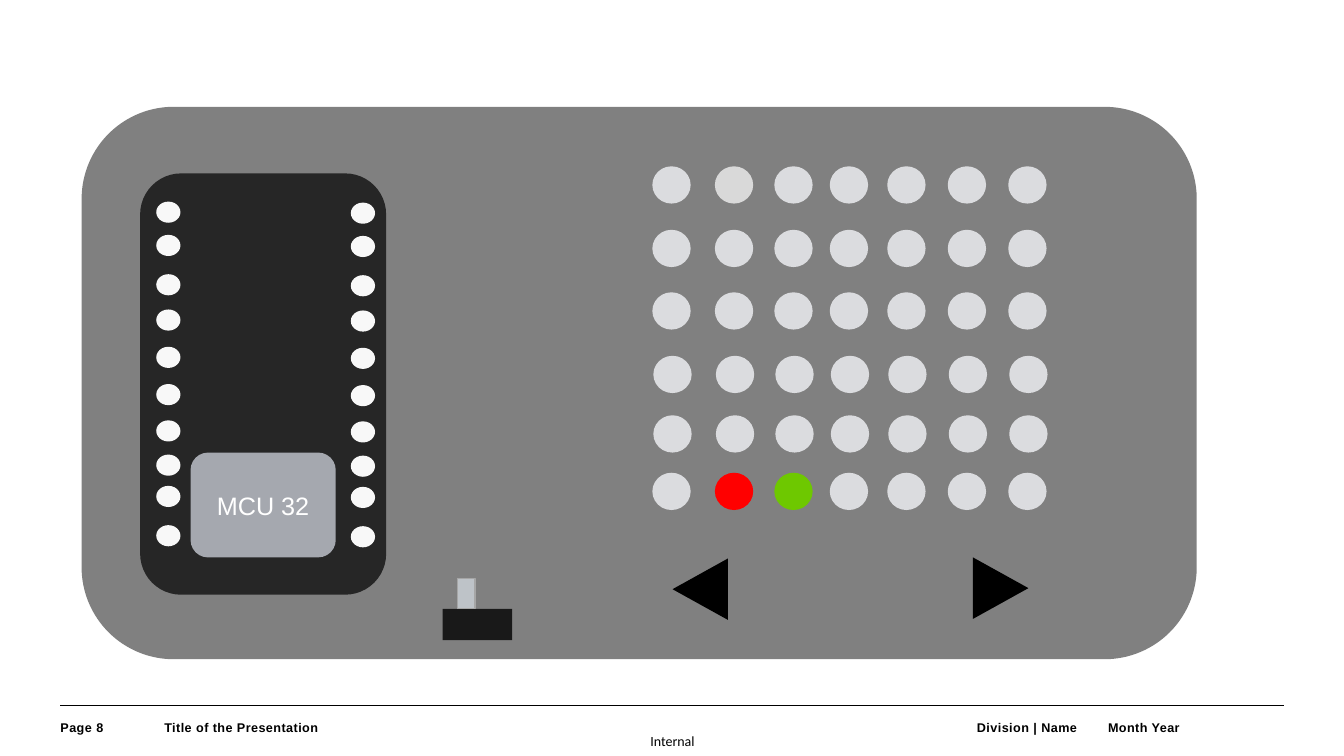
from dataclasses import dataclass
from typing import Optional

from lxml import etree
from pptx import Presentation
from pptx import util as u
from pptx.dml.color import RGBColor
from pptx.enum import shapes, text
from pptx.oxml import ns


@dataclass(frozen=True)
class Theme:
    board: str = "808080"
    module: str = "262626"
    chip: str = "A5A8AF"
    led: str = "DBDCDF"
    led_gray: str = "D9D9D9"
    led_red: str = "FF0000"
    led_green: str = "6EC800"
    pin: str = "F8F8F8"
    switch: str = "191919"
    lever: str = "BEC3C8"
    lever_edge: str = "A6A6A6"
    black: str = "000000"
    white: str = "FFFFFF"
    font: str = "Arial"
    label_font: str = "Calibri"
    chip_size: int = 18
    label_size: int = 10
    footer_size: int = 9


@dataclass(frozen=True)
class Part:
    kind: shapes.MSO_SHAPE
    left: float
    top: float
    width: float
    height: float
    fill: str
    line: Optional[str] = None
    rotation: int = 0


@dataclass(frozen=True)
class Footer:
    content: str
    left: float
    width: float
    tabs: tuple[float, ...] = ()


THEME = Theme()
KIND = shapes.MSO_SHAPE

BOARD = Part(KIND.ROUNDED_RECTANGLE, 0.81, 1.06, 11.06, 5.48, THEME.board)
MODULE = Part(KIND.ROUNDED_RECTANGLE, 1.39, 1.72, 2.44, 4.18, THEME.module)
CHIP = Part(KIND.ROUNDED_RECTANGLE, 1.89, 4.49, 1.44, 1.04, THEME.chip)
CONTROLS = (
    Part(KIND.ISOSCELES_TRIANGLE, 6.64, 5.57, 0.61, 0.55, THEME.black, rotation=270),
    Part(KIND.ISOSCELES_TRIANGLE, 9.62, 5.56, 0.61, 0.55, THEME.black, rotation=90),
    Part(KIND.RECTANGLE, 4.39, 6.04, 0.69, 0.31, THEME.switch),
    Part(KIND.RECTANGLE, 4.54, 5.74, 0.17, 0.3, THEME.lever, line=THEME.lever_edge),
)

LED_COLUMNS = (6.47, 7.09, 7.68, 8.23, 8.8, 9.4, 10)
LED_ROWS = ((1.65, 0), (2.28, 0), (2.9, 0), (3.53, 0.01), (4.12, 0.01), (4.69, 0))
SPECIAL_LEDS = {
    (0, 1): THEME.led_gray,
    (5, 1): THEME.led_red,
    (5, 2): THEME.led_green,
}
PIN_COLUMNS = ((1.55, 0), (3.48, 0.01))
PIN_ROWS = (2, 2.33, 2.72, 3.07, 3.44, 3.81, 4.17, 4.51, 4.82, 5.21)

FOOTERS = (
    Footer("\tDivision | Name\tMonth Year", 8.48, 3.23, (1.21, 2.51)),
    Footer("Title of the Presentation", 1.63, 4.65),
    Footer("Page 8", 0.6, 0.87),
)


def color(value: str) -> RGBColor:
    return RGBColor.from_string(value)


def draw_part(slide, part: Part):
    shape = slide.shapes.add_shape(
        part.kind, *map(u.Inches, (part.left, part.top, part.width, part.height))
    )
    shape.shadow.inherit = False
    shape.rotation = part.rotation
    shape.fill.solid()
    shape.fill.fore_color.rgb = color(part.fill)
    if part.line:
        shape.line.color.rgb = color(part.line)
        shape.line.width = u.Pt(1)
    else:
        shape.line.fill.background()
    return shape


def write_text(
    shape,
    content: str,
    *,
    size: int,
    fill: str = THEME.black,
    font: str = THEME.font,
    bold: bool = False,
    align: text.PP_ALIGN = text.PP_ALIGN.LEFT,
    anchor: text.MSO_ANCHOR = text.MSO_ANCHOR.TOP,
    spacing: int = 0,
    tabs: tuple[float, ...] = (),
) -> None:
    frame = shape.text_frame
    frame.word_wrap = True
    frame.vertical_anchor = anchor
    frame.margin_left = frame.margin_right = 0
    frame.margin_top = frame.margin_bottom = 0
    paragraph = frame.paragraphs[0]
    paragraph.alignment = align
    if tabs:
        properties = paragraph._p.get_or_add_pPr()
        tab_list = etree.SubElement(properties, ns.qn("a:tabLst"))
        for position in tabs:
            etree.SubElement(
                tab_list, ns.qn("a:tab"), pos=str(u.Inches(position)), algn="l"
            )
    run = paragraph.add_run()
    run.text = content
    run.font.name = font
    run.font.size = u.Pt(size)
    run.font.bold = bold
    run.font.color.rgb = color(fill)
    if spacing:
        run._r.get_or_add_rPr().set("spc", str(spacing))


def add_text_box(slide, left: float, top: float, width: float, height: float):
    return slide.shapes.add_textbox(*map(u.Inches, (left, top, width, height)))


def draw_footer(slide) -> None:
    rule = slide.shapes.add_connector(
        shapes.MSO_CONNECTOR.STRAIGHT, *map(u.Inches, (0.6, 7, 12.73, 7))
    )
    rule.line.color.rgb = color(THEME.black)
    rule.line.width = u.Pt(0.5)
    etree.SubElement(rule._element.spPr, ns.qn("a:effectLst"))
    write_text(
        add_text_box(slide, 6.3, 7.21, 0.74, 0.29),
        "Internal",
        size=THEME.label_size,
        font=THEME.label_font,
        align=text.PP_ALIGN.CENTER,
        anchor=text.MSO_ANCHOR.MIDDLE,
    )
    for footer in FOOTERS:
        write_text(
            add_text_box(slide, footer.left, 7.14, footer.width, 0.22),
            footer.content,
            size=THEME.footer_size,
            bold=True,
            spacing=30,
            tabs=footer.tabs,
        )


def draw_device(slide) -> None:
    draw_part(slide, BOARD)
    draw_part(slide, MODULE)
    write_text(
        draw_part(slide, CHIP),
        "MCU 32",
        size=THEME.chip_size,
        fill=THEME.white,
        align=text.PP_ALIGN.CENTER,
        anchor=text.MSO_ANCHOR.MIDDLE,
    )
    for row, (top, shift) in enumerate(LED_ROWS):
        for column, left in enumerate(LED_COLUMNS):
            fill = SPECIAL_LEDS.get((row, column), THEME.led)
            draw_part(
                slide,
                Part(KIND.FLOWCHART_CONNECTOR, left + shift, top, 0.38, 0.37, fill),
            )
    for left, drop in PIN_COLUMNS:
        for top in PIN_ROWS:
            draw_part(
                slide,
                Part(KIND.FLOWCHART_CONNECTOR, left, top + drop, 0.24, 0.21, THEME.pin),
            )
    for control in CONTROLS:
        draw_part(slide, control)


def main() -> None:
    presentation = Presentation()
    presentation.slide_width = u.Inches(13.33)
    presentation.slide_height = u.Inches(7.5)
    slide = presentation.slides.add_slide(presentation.slide_layouts[6])
    draw_footer(slide)
    draw_device(slide)
    presentation.save("out.pptx")


if __name__ == "__main__":
    main()
